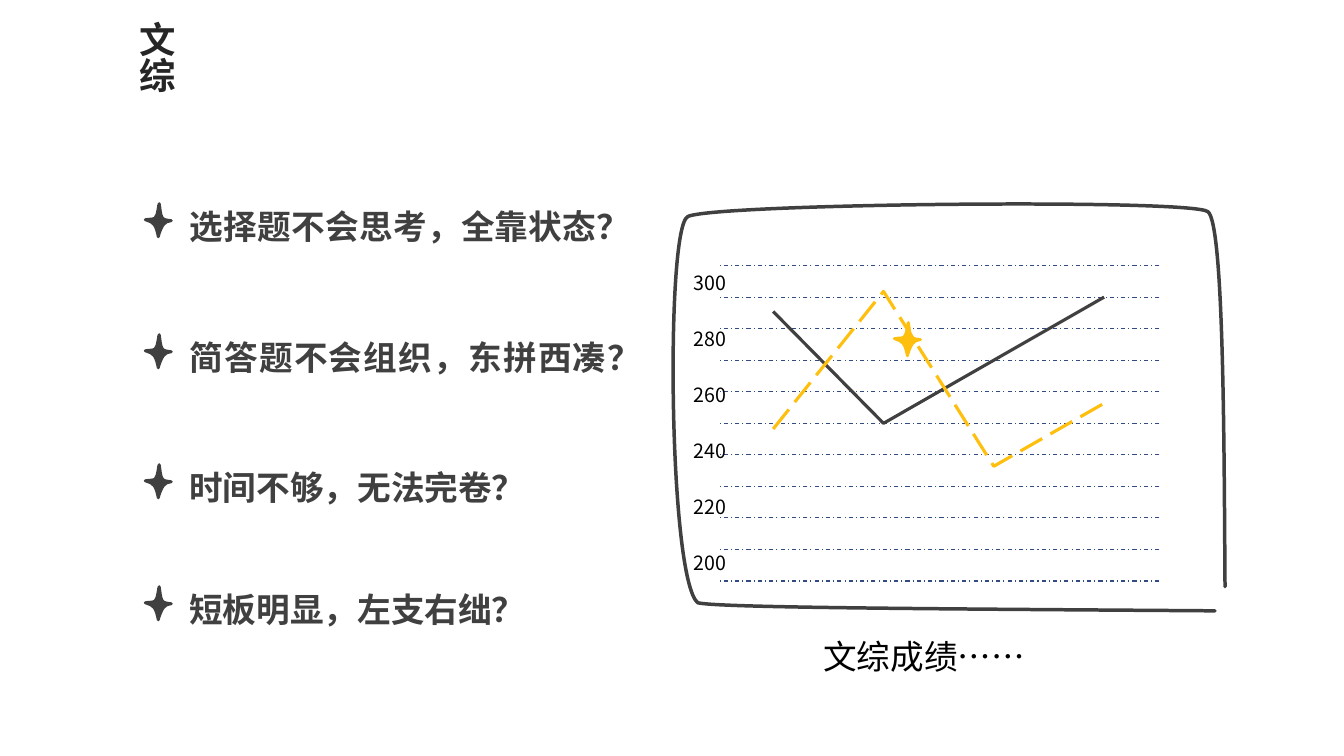
from lxml import etree
from pptx import Presentation
from pptx.chart.data import CategoryChartData
from pptx.dml.color import RGBColor
from pptx.enum import chart as ch, dml, text
from pptx.oxml import parse_xml
from pptx.oxml.ns import nsdecls, qn
from pptx.util import Inches, Pt

GREY = RGBColor(0x40, 0x40, 0x40)
DARK = RGBColor(0x26, 0x26, 0x26)
BLACK = RGBColor(0, 0, 0)
WHITE = RGBColor(0xFF, 0xFF, 0xFF)
YELLOW = RGBColor(0xFE, 0xBF, 0x0F)
NAVY = RGBColor(0x32, 0x4B, 0x82)
JP, SC = "Noto Sans CJK JP", "Noto Sans CJK SC"

prs = Presentation()
prs.slide_width, prs.slide_height = Inches(13.33), Inches(7.5)
s = prs.slides.add_slide(prs.slide_layouts[5])


def write(sp, lines, size, color, font, bold=False, align=text.PP_ALIGN.LEFT,
          spacing=1.0, gap=0):
    """Fill a text shape with equally formatted paragraphs."""
    tf = sp.text_frame
    tf.word_wrap = True
    tf.auto_size = text.MSO_AUTO_SIZE.NONE
    tf.vertical_anchor = text.MSO_ANCHOR.TOP
    tf.text = "\n".join(lines)
    for i, p in enumerate(tf.paragraphs):
        p.alignment, p.line_spacing = align, spacing
        p.space_before = Pt(gap if i else 0)
        f = p.font
        f.size, f.bold, f.name = Pt(size), bold, font
        f.color.rgb = color
        etree.SubElement(f._element, qn("a:ea")).set("typeface", font)


def draw_curve(box, start, curves, fill, line, width, close):
    """Draw cubic curves, given in inches from the top left of the box."""
    fb = s.shapes.build_freeform(*map(Inches, start))
    fb.add_line_segments([(Inches(c[4]), Inches(c[5])) for c in curves], close=close)
    sp = fb.convert_to_shape()
    sp.left, sp.top, sp.width, sp.height = map(Inches, box)
    # Turn the straight segments into cubic curves
    path = sp._element.find(".//" + qn("a:path"))
    path.set("w", str(Inches(box[2])))
    path.set("h", str(Inches(box[3])))
    first = path.find(".//" + qn("a:pt"))
    first.set("x", str(Inches(start[0])))
    first.set("y", str(Inches(start[1])))
    for seg, c in zip(path.findall(qn("a:lnTo")), curves):
        bez = etree.Element(qn("a:cubicBezTo"))
        for x, y in zip(c[::2], c[1::2]):
            etree.SubElement(bez, qn("a:pt"), x=str(Inches(x)), y=str(Inches(y)))
        path.replace(seg, bez)
    sp.shadow.inherit = False
    sp.fill.solid()
    sp.fill.fore_color.rgb = fill
    sp.line.color.rgb = line
    sp.line.width = Pt(width)
    ln = sp.line._get_or_add_ln()
    ln.set("cap", "rnd")
    etree.SubElement(ln, qn("a:round"))


# Title
title = s.shapes.title
title.left, title.top, title.width, title.height = map(Inches, (1.28, 0.2, 0.84, 0.54))
write(title, ["文综"], 26, DARK, JP, bold=True, spacing=0.82)

# Hand-drawn frame
FRAME = [(5.47, 2.4, 5.47, 0.2, 5.31, 0.08), (5.14, -0.05, 0.37, 0, 0.15, 0.13),
         (-0.07, 0.25, -0.04, 3.71, 0.25, 3.96), (0.44, 4.01, 2.63, 4.02, 5.38, 4.04)]
draw_curve((6.67, 2.02, 5.48, 4.04), (5.48, 3.8), FRAME, WHITE, GREY, 2.5, False)

# Score chart
cd = CategoryChartData()
cd.categories = ["1", "2", "3", "4"]
cd.add_series("Series 1", (93, 54, 76, 98))
cd.add_series("Series 2", (52, 100, 39, 61))
chart = s.shapes.add_chart(ch.XL_CHART_TYPE.LINE, Inches(7.03), Inches(2.57),
                           Inches(4.56), Inches(3.26), cd).chart
chart.has_legend = chart.has_title = False
chart.font.size, chart.font.name = Pt(10), SC
chart.font.color.rgb = BLACK
chart.plots[0].vary_by_categories = False
chart.category_axis.visible = False
va = chart.value_axis
va.visible = False
va.minimum_scale, va.maximum_scale, va.major_unit = -1, 109, 11
va.has_major_gridlines = True
grid = va.major_gridlines.format.line
grid.color.rgb, grid.width = NAVY, Pt(0.75)
grid.dash_style = dml.MSO_LINE.DASH_DOT
for ser, color in zip(chart.plots[0].series, (GREY, YELLOW)):
    ser.smooth = False
    ser.marker.style = ch.XL_MARKER_STYLE.NONE
    ser.format.line.color.rgb = color
    ser.format.line.width = Pt(2.25)
ser.format.line.dash_style = dml.MSO_LINE.LONG_DASH

# Plot area fills nearly the whole chart
area = chart._chartSpace.find(".//" + qn("c:plotArea"))
for old in area.findall(qn("c:layout")):
    area.remove(old)
area.insert(0, parse_xml(
    f'<c:layout {nsdecls("c")}><c:manualLayout><c:layoutTarget val="inner"/>'
    '<c:xMode val="edge"/><c:yMode val="edge"/><c:x val="0.02"/><c:y val="0.02"/>'
    '<c:w val="0.96"/><c:h val="0.96"/></c:manualLayout></c:layout>'))

# Problems, each with a star in front
STAR = [(0.12, 0.28, 0.11, 0.24, 0.09, 0.21), (0.07, 0.18, 0.05, 0.18, 0, 0.16),
        (0.05, 0.15, 0.08, 0.16, 0.1, 0.14), (0.13, 0.11, 0.13, 0, 0.14, 0),
        (0.15, 0.05, 0.15, 0.11, 0.17, 0.14), (0.19, 0.17, 0.23, 0.16, 0.26, 0.17),
        (0.22, 0.18, 0.2, 0.18, 0.18, 0.21), (0.16, 0.24, 0.14, 0.29, 0.13, 0.33)]
problems = [("选择题不会思考，全靠状态？", 1.89, 4.24),
            ("简答题不会组织，东拼西凑？", 3.19, 4.35),
            ("时间不够，无法完卷？", 4.48, 3.98),
            ("短板明显，左支右绌？", 5.69, 3.54)]
stars = [(8.87, 3.2, YELLOW)]
for label, top, width in problems:
    sp = s.shapes.add_textbox(Inches(1.78), Inches(top), Inches(width), Inches(0.6))
    write(sp, [label], 24, GREY, JP, bold=True,
          align=text.PP_ALIGN.JUSTIFY, spacing=1.25)
    stars.append((1.44, top + 0.13, GREY))
for left, top, color in stars:
    draw_curve((left, top, 0.26, 0.33), (0.13, 0.33), STAR, color, color, 2, True)

# Score scale and caption
scale = s.shapes.add_textbox(Inches(6.78), Inches(2.72), Inches(0.82), Inches(3.34))
write(scale, [str(n) for n in range(300, 199, -20)], 14, BLACK, SC, spacing=0.6, gap=30)
caption = s.shapes.add_textbox(Inches(7.03), Inches(6.26), Inches(4.27), Inches(0.5))
write(caption, ["文综成绩……"], 24, BLACK, JP, align=text.PP_ALIGN.CENTER)

prs.save("out.pptx")
